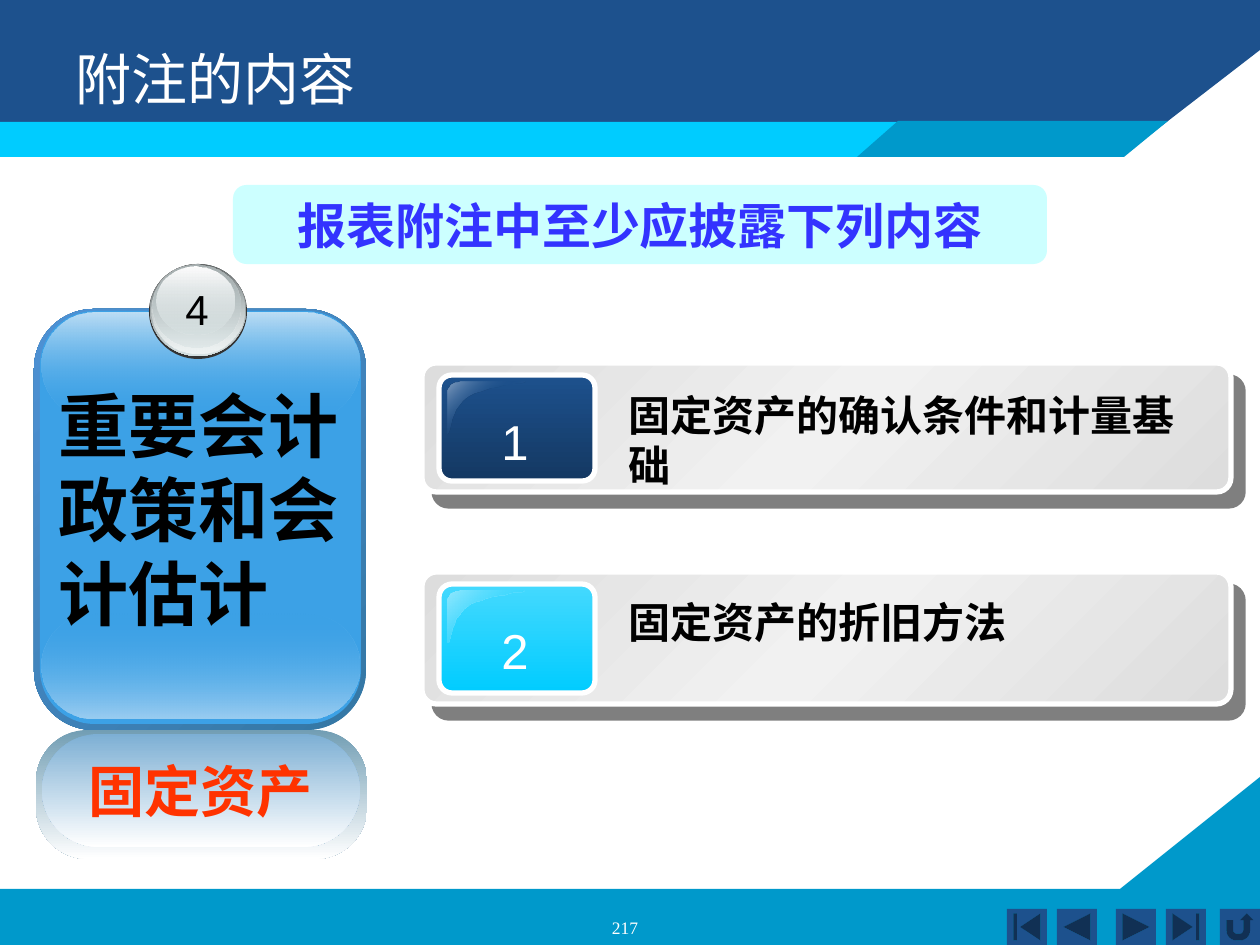
from lxml import etree
from pptx import Presentation
from pptx.dml.color import RGBColor
from pptx.enum.shapes import MSO_SHAPE
from pptx.enum.text import MSO_ANCHOR, PP_ALIGN
from pptx.oxml.ns import qn
from pptx.util import Emu, Pt

SCALE = 914400 / 126
RECT, ROUND, OVAL = MSO_SHAPE.RECTANGLE, MSO_SHAPE.ROUNDED_RECTANGLE, MSO_SHAPE.OVAL
NAV_BUTTONS = [
    (1007, MSO_SHAPE.ACTION_BUTTON_BEGINNING),
    (1057, MSO_SHAPE.ACTION_BUTTON_BACK_OR_PREVIOUS),
    (1116, MSO_SHAPE.ACTION_BUTTON_FORWARD_OR_NEXT),
    (1166, MSO_SHAPE.ACTION_BUTTON_END),
    (1220, MSO_SHAPE.ACTION_BUTTON_RETURN),
]
TOP, MIDDLE = MSO_ANCHOR.TOP, MSO_ANCHOR.MIDDLE
LEFT, CENTER = PP_ALIGN.LEFT, PP_ALIGN.CENTER
COLORS = {
    "navy": "1D518D", "blue": "0099CB", "cyan": "00CCFF", "pale": "CCFFFF",
    "white": "FFFFFF", "black": "000000", "violet": "3333FF", "red": "FF3300",
    "card": "3CA1E6", "rim": "333333",
}
SILVER = [(0, "DDDDDD", 100), (50, "F1F1F1", 100), (100, "DDDDDD", 100)]
ROWS = [
    dict(top=363, height=129, text_top=20, number="1", text="固定资产的确认条件和计量基础",
         badge=[(0, "1D518D", 100), (100, "143862", 100)],
         gloss=[(0, "839FC0", 100), (50, "1D518D", 0), (100, "839FC0", 100)]),
    dict(top=572, height=132, text_top=18, number="2", text="固定资产的折旧方法",
         badge=[(0, "45D9FE", 100), (100, "00CCFF", 100)],
         gloss=[(0, "00CCFF", 0), (100, "92E8FE", 100)]),
]
GLOSS_CURVES = [
    [(15, 0), (7, 0), (0, 5), (0, 10)],
    [(0, 52), (4, 53), (2, 27), (21, 15)],
    [(21, 15), (40, 4), (78, 3), (77, 0)],
]
ORBS = [
    (1, 0, 96, 92, [(0, "626768", 100), (100, "D6E1E2", 100)]),
    (2, 1, 93, 89, [(0, "D6E1E2", 0), (100, "EFF3F3", 100)]),
    (4, 1, 88, 83, [(0, "A8B1B2", 100), (100, "D6E1E2", 48)]),
    (8, 3, 78, 68, [(0, "FEFEFE", 100), (100, "D6E1E2", 38)]),
]


def px(length):
    """Turn pixels into EMU."""
    return Emu(round(length * SCALE))


def add_color(parent, color, alpha):
    """Append a colour with its opacity in percent."""
    node = etree.SubElement(parent, qn("a:srgbClr"), val=color)
    if alpha < 100:
        etree.SubElement(node, qn("a:alpha"), val=str(alpha * 1000))


def paint(shape, fill, angle=90, line=None):
    """Fill a shape with a colour or a list of gradient stops and set its outline."""
    shape.shadow.inherit = False
    if isinstance(fill, str):
        shape.fill.solid()
        shape.fill.fore_color.rgb = RGBColor.from_string(COLORS[fill])
    else:
        shape.fill.gradient()
        gradient = shape.element.spPr.find(qn("a:gradFill"))
        for child in list(gradient):
            gradient.remove(child)
        stops = etree.SubElement(gradient, qn("a:gsLst"))
        for position, color, alpha in fill:
            add_color(etree.SubElement(stops, qn("a:gs"), pos=str(position * 1000)), color, alpha)
        etree.SubElement(gradient, qn("a:lin"), ang=str(angle * 60000), scaled="0")
    if line:
        shape.line.color.rgb = RGBColor.from_string(COLORS[line])
        shape.line.width = Pt(3)
    else:
        shape.line.fill.background()


def add_box(page, kind, bounds, fill, corner=None, **look):
    """Add a painted preset shape."""
    shape = page.shapes.add_shape(kind, *map(px, bounds))
    if corner is not None:
        shape.adjustments[0] = corner
    paint(shape, fill, **look)
    return shape


def add_outline(page, points, fill, **look):
    """Add a painted closed polygon."""
    builder = page.shapes.build_freeform(*points[0], scale=SCALE)
    builder.add_line_segments(points[1:], close=True)
    paint(builder.convert_to_shape(), fill, **look)


def write(box, text, size, color, font="Arial", bold=False, align=LEFT, anchor=TOP, wrap=True):
    """Put one formatted paragraph into a shape."""
    frame = box.text_frame
    frame.word_wrap = wrap
    frame.vertical_anchor = anchor
    frame.margin_left = frame.margin_right = Pt(7.2)
    frame.margin_top = frame.margin_bottom = Pt(3.6)
    para = frame.paragraphs[0]
    para.alignment = align
    span = para.add_run()
    span.text = text
    span.font.name = font
    span.font.size = Pt(size)
    span.font.bold = bold
    span.font.color.rgb = RGBColor.from_string(COLORS[color])


def add_text(page, bounds, text, size, color, **style):
    """Add a text box."""
    write(page.shapes.add_textbox(*map(px, bounds)), text, size, color, **style)


def cast_shadow(shape):
    """Give a shape a hard half-transparent shadow to the lower right."""
    effects = shape.element.spPr.find(qn("a:effectLst"))
    shadow = etree.SubElement(effects, qn("a:outerShdw"), blurRad="0", dist=str(Pt(10.6)),
                              dir=str(49 * 60000), algn="ctr", rotWithShape="0")
    add_color(shadow, COLORS["black"], 50)


def curve_points(start, first, second, end, steps=10):
    """Sample a cubic curve."""
    points = []
    for step in range(steps + 1):
        t = step / steps
        weights = ((1 - t) ** 3, 3 * t * (1 - t) ** 2, 3 * t * t * (1 - t), t ** 3)
        points.append(tuple(sum(weight * point[axis] for weight, point
                                in zip(weights, (start, first, second, end)))
                            for axis in (0, 1)))
    return points


def add_frame(page):
    """Draw the header and footer bands and the navigation buttons."""
    add_outline(page, [(0, 889), (1120, 889), (1260, 777), (1260, 945), (0, 945)], "blue")
    add_outline(page, [(0, 0), (1260, 0), (1260, 50), (1124, 155), (0, 156)], "navy")
    add_box(page, RECT, (0, 122, 1063, 35), "cyan")
    add_outline(page, [(857, 157), (1124, 157), (1168, 121), (898, 121)], "blue")
    for left, kind in NAV_BUTTONS:
        add_box(page, kind, (left, 909, 40, 36), "navy")


def add_title(page, bounds, text):
    """Format the title placeholder and bring it in front of the header band."""
    title = page.shapes.title
    title.left, title.top, title.width, title.height = map(px, bounds)
    write(title, text, 32, "white", font="Noto Sans CJK SC")
    title.element.getparent().append(title.element)


def add_row(page, left, width, top, height, text_top, number, text, badge, gloss):
    """Draw a numbered silver bar."""
    bar = add_box(page, ROUND, (left, top, width, height), SILVER, 0.11, angle=225, line="white")
    cast_shadow(bar)
    add_box(page, ROUND, (left + 17, top + 12, 156, height - 23), badge, 0.12, line="white")
    points = [(left + 26 + x, top + 19 + y)
              for curve in GLOSS_CURVES for x, y in curve_points(*curve)]
    add_outline(page, points, gloss, angle=225)
    add_text(page, (left + 67, top + 42, 52, 72), number, 28, "white", align=CENTER, wrap=False)
    add_text(page, (left + 194, top + text_top, 595, height - 30), text, 24, "black", bold=True)


def add_card(page, left, top, number, text, caption):
    """Draw the glossy card with its numbered orb and its reflection."""
    add_box(page, ROUND, (left, top + 45, 332, 421),
            [(0, "3477A4", 100), (100, "4E91D4", 100)], 0.18, angle=225)
    add_box(page, ROUND, (left + 6, top + 47, 321, 413), "card", 0.17)
    add_box(page, ROUND, (left + 8, top + 350, 318, 105),
            [(0, "3CA1E6", 0), (100, "9ACDF1", 100)], 0.5)
    add_box(page, ROUND, (left + 8, top + 49, 318, 105),
            [(0, "BDDEF5", 100), (100, "3CA1E6", 0)], 0.5)
    add_box(page, ROUND, (left + 2, top + 466, 331, 129),
            [(0, "729EB4", 100), (100, "FFFFFF", 100)], 0.4)
    reflection = add_box(page, ROUND, (left + 8, top + 470, 318, 113),
                         [(0, "7DAFD4", 100), (100, "FFFFFF", 100)], 0.5)
    write(reflection, caption, 32, "red", bold=True, align=CENTER, anchor=MIDDLE, wrap=False)
    add_box(page, OVAL, (left + 115, top, 98, 95), "rim")
    for x, y, width, height, fill in ORBS:
        add_box(page, OVAL, (left + 115 + x, top + y, width, height), fill)
    add_text(page, (left + 139, top + 13, 48, 63), number, 24, "black", align=CENTER, wrap=False)
    add_text(page, (left + 12, top + 112, 315, 265), text, 40, "black",
             font="DejaVu Sans", bold=True)


def main():
    """Build the deck."""
    deck = Presentation()
    deck.slide_width, deck.slide_height = px(1260), px(945)
    page = deck.slides.add_slide(deck.slide_layouts[5])
    add_frame(page)
    add_title(page, (63, 38, 1134, 158), "附注的内容")
    banner = add_box(page, ROUND, (233, 185, 814, 79), "pale", 0.17)
    write(banner, "报表附注中至少应披露下列内容", 28, "violet", bold=True,
          align=CENTER, anchor=MIDDLE, wrap=False)
    for row in ROWS:
        add_row(page, 422, 809, **row)
    add_card(page, 34, 264, "4", "重要会计政策和会计估计", "固定资产")
    add_text(page, (478, 911, 294, 23), "217", 10, "white", font="Times New Roman", align=CENTER)
    deck.save("out.pptx")


if __name__ == "__main__":
    main()
